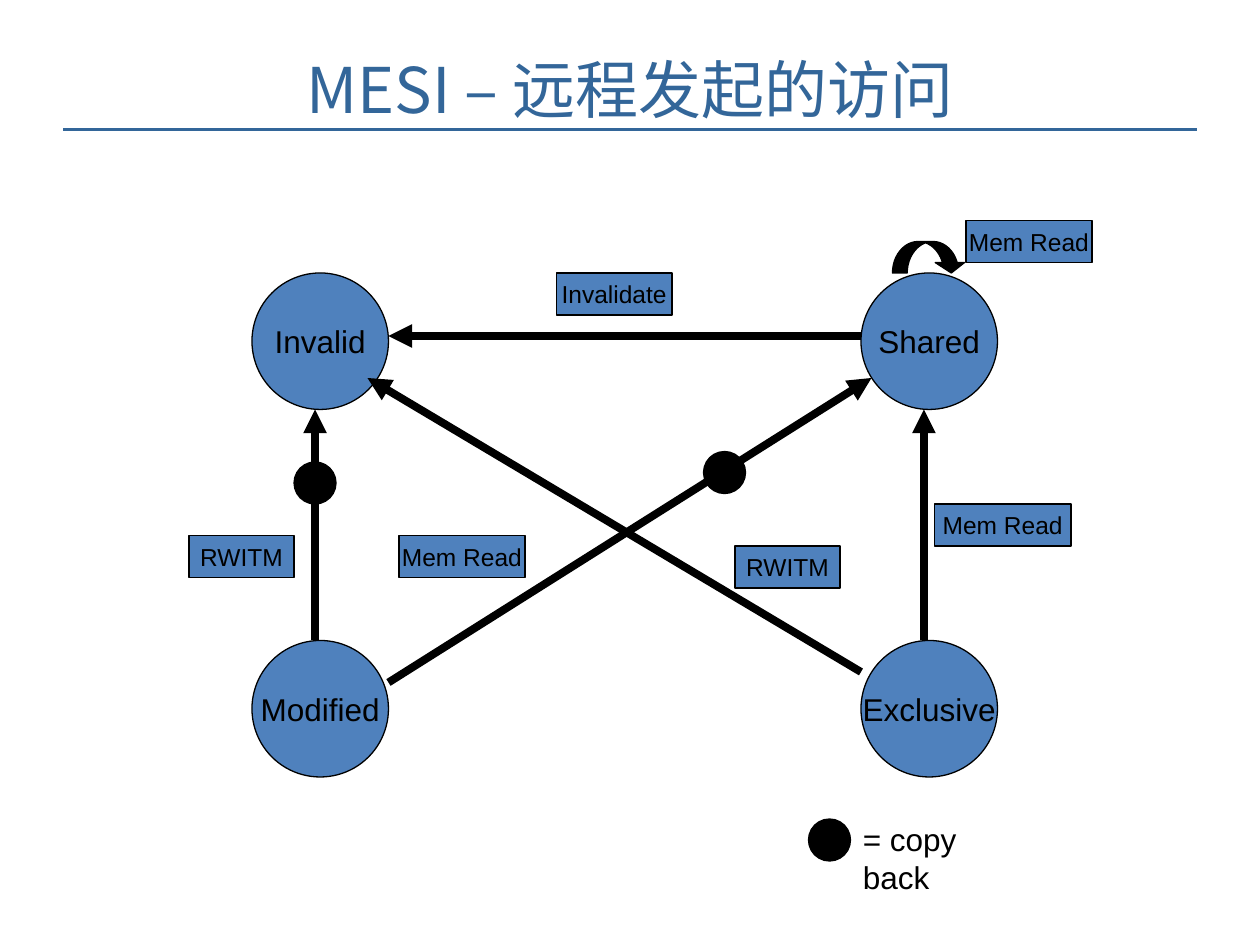
from lxml.etree import SubElement
from pptx import Presentation
from pptx.dml.color import RGBColor
from pptx.enum.shapes import MSO_CONNECTOR, MSO_SHAPE
from pptx.enum.text import MSO_ANCHOR, PP_ALIGN
from pptx.oxml.ns import qn
from pptx.util import Pt

TITLE = "MESI – 远程发起的访问"
LEGEND = "= copy back"
COLORS = {"title": "336699", "fill": "4F81BD", "ink": "000000"}
CJK = "Noto Sans CJK SC"

# Left and top of each state circle
STATES = {
    "Invalid": (144, 156),
    "Modified": (144, 366),
    "Exclusive": (492, 366),
    "Shared": (492, 156),
}
SIZE = 78

# Start and end of each transition
ARROWS = [
    ((180, 366), (180, 234)),
    ((492, 192), (222, 192)),
    ((528, 366), (528, 234)),
    ((222, 390), (498, 216)),
    ((492, 384), (210, 216)),
]

# Text, left, top and width of each transition label
LABELS = [
    ("Mem Read", 552, 126, 72),
    ("Mem Read", 534, 288, 78),
    ("Mem Read", 228, 306, 72),
    ("Invalidate", 318, 156, 66),
    ("RWITM", 420, 312, 60),
    ("RWITM", 108, 306, 60),
]
HIGH = 24

# Copy-back marks; the last one belongs to the legend
DOTS = [(168, 264), (402, 258), (462, 468)]


def color(name):
    return RGBColor.from_string(COLORS[name])


def style(para, text, size, font="Arial", ink="ink"):
    para.text = text
    para.font.size = Pt(size)
    para.font.name = font
    para.font.color.rgb = color(ink)


def add_shape(slide, kind, box, fill, text="", size=18):
    shape = slide.shapes.add_shape(kind, *map(Pt, box))
    shape.shadow.inherit = False
    shape.fill.solid()
    shape.fill.fore_color.rgb = color(fill)
    shape.line.color.rgb = color("ink")
    shape.line.width = Pt(0.75)
    if text:
        frame = shape.text_frame
        frame.word_wrap = False
        frame.vertical_anchor = MSO_ANCHOR.MIDDLE
        para = frame.paragraphs[0]
        para.alignment = PP_ALIGN.CENTER
        style(para, text, size)
    return shape


def add_line(slide, start, end, ink, width, head=False):
    line = slide.shapes.add_connector(
        MSO_CONNECTOR.STRAIGHT, *map(Pt, start + end))
    line.line.color.rgb = color(ink)
    line.line.width = Pt(width)
    if head:
        SubElement(line.line._get_or_add_ln(), qn("a:tailEnd"), type="triangle")
    SubElement(line._element.spPr, qn("a:effectLst"))


def add_title(slide):
    title = slide.shapes.title
    title.left, title.top, title.width, title.height = map(
        Pt, (0, 30, 720, 40.5))
    frame = title.text_frame
    frame.word_wrap = True
    frame.vertical_anchor = MSO_ANCHOR.MIDDLE
    para = frame.paragraphs[0]
    para.alignment = PP_ALIGN.CENTER
    style(para, TITLE, 36, CJK, "title")
    props = para.runs[0].font
    props.name = CJK
    SubElement(props._element, qn("a:ea"), typeface=CJK)


def add_legend(slide):
    box = slide.shapes.add_textbox(*map(Pt, (486, 465, 103, 29)))
    box.text_frame.word_wrap = True
    style(box.text_frame.paragraphs[0], LEGEND, 18)


def main():
    deck = Presentation()
    deck.slide_width, deck.slide_height = Pt(720), Pt(540)
    slide = deck.slides.add_slide(deck.slide_layouts[5])

    add_line(slide, (36, 74), (684, 74), "title", 2)
    add_title(slide)
    for name, spot in STATES.items():
        add_shape(slide, MSO_SHAPE.OVAL, (*spot, SIZE, SIZE), "fill", name)
    for start, end in ARROWS:
        add_line(slide, start, end, "ink", 4.5, head=True)

    loop = add_shape(
        slide, MSO_SHAPE.CURVED_DOWN_ARROW, (510, 138, 42, 18), "ink")
    for i, value in enumerate((0.47, 0.93, 0.33)):
        loop.adjustments[i] = value

    for text, left, top, width in LABELS:
        box = (left, top, width, HIGH)
        add_shape(slide, MSO_SHAPE.RECTANGLE, box, "fill", text, 14)
    for spot in DOTS:
        add_shape(slide, MSO_SHAPE.OVAL, (*spot, HIGH, HIGH), "ink")
    add_legend(slide)

    deck.save("out.pptx")


if __name__ == "__main__":
    main()
